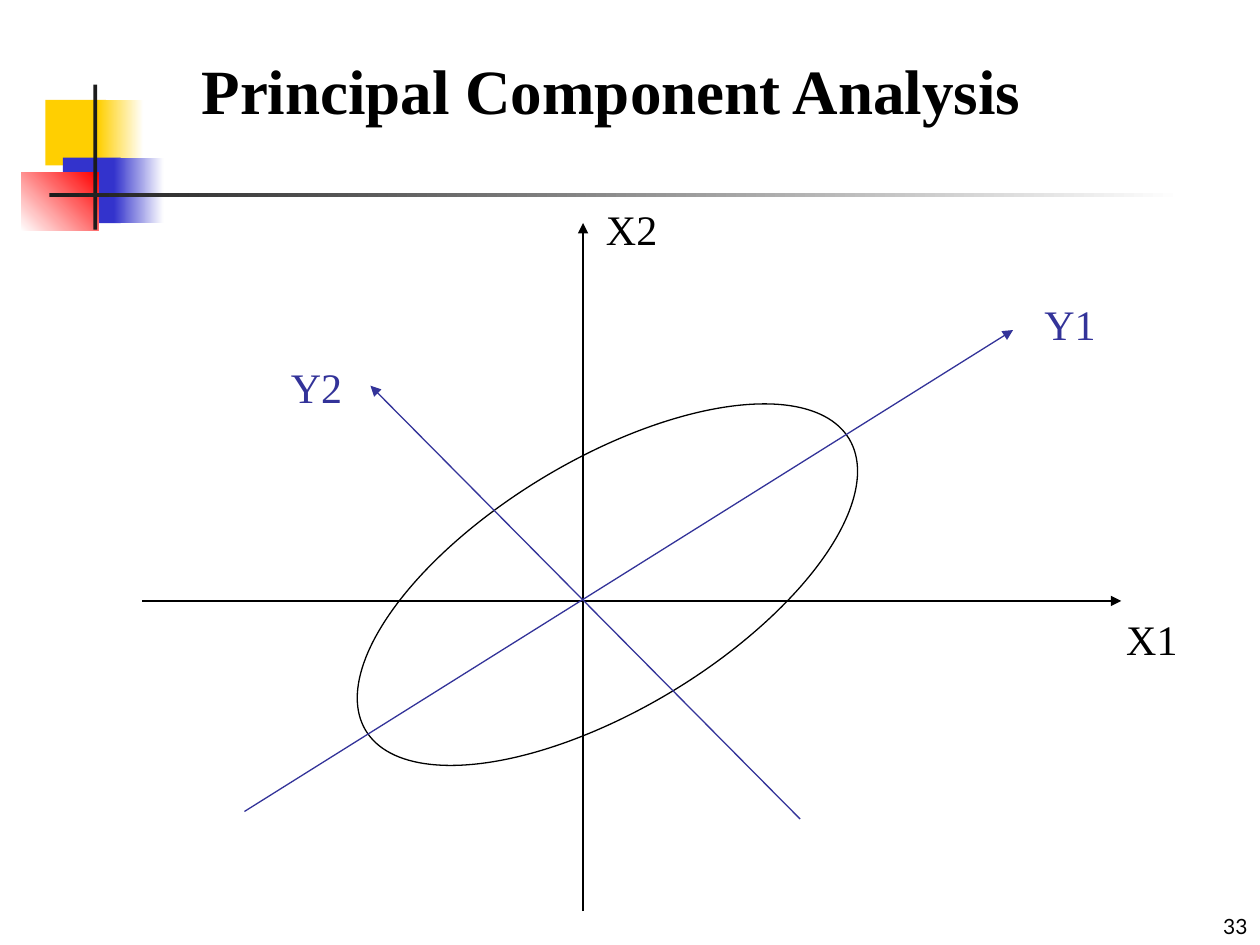
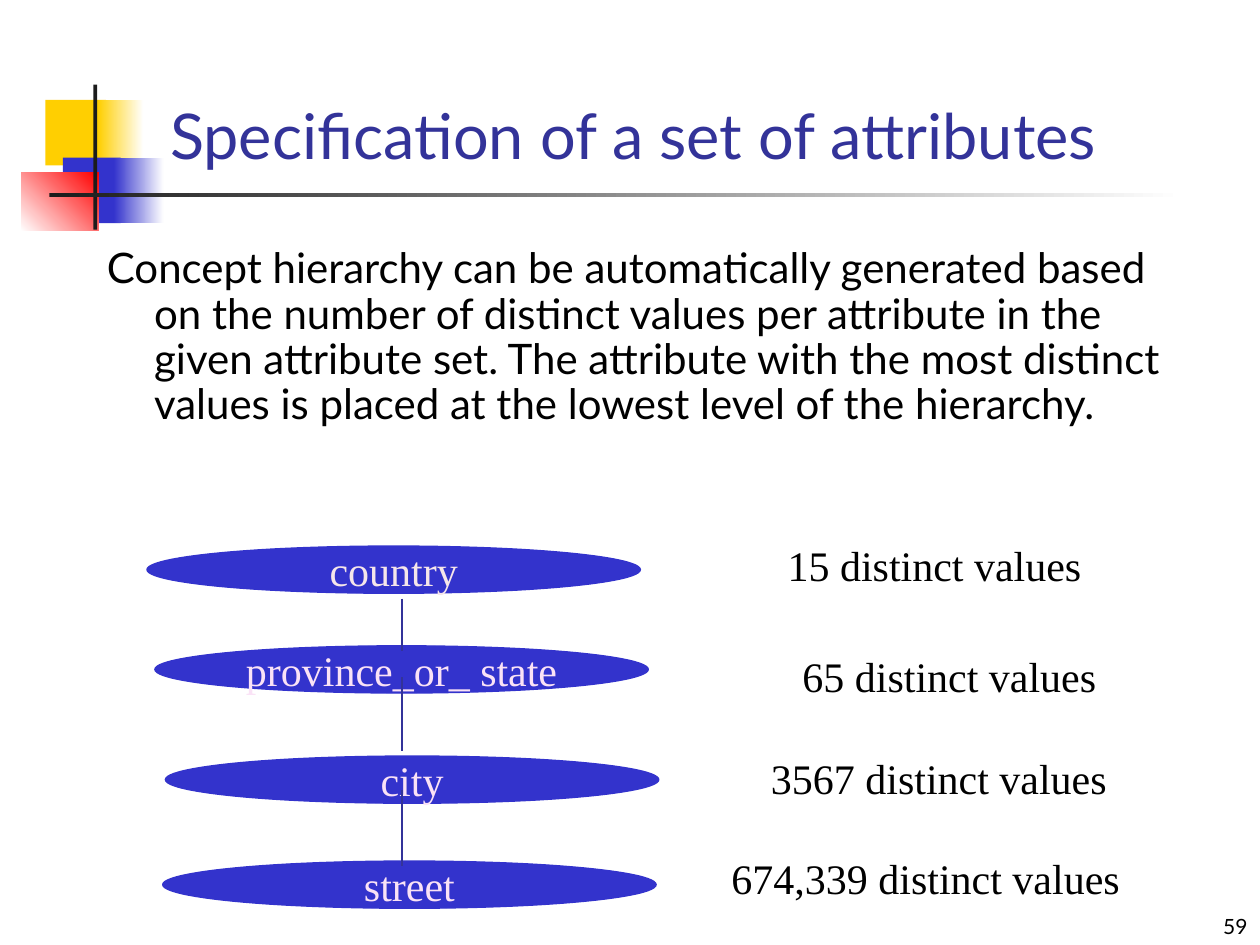
import pptx
import pptx.dml.color
import pptx.enum.dml
import pptx.enum.shapes
import pptx.enum.text
import pptx.oxml
import pptx.oxml.ns
import pptx.util
from lxml import etree

Pt = pptx.util.Pt
SHAPE = pptx.enum.shapes.MSO_SHAPE
ANCHOR = pptx.enum.text.MSO_ANCHOR
ALIGN = pptx.enum.text.PP_ALIGN
qn = pptx.oxml.ns.qn

SANS, SERIF = "Lato", "Times New Roman"
BLACK, WHITE, NAVY = "000000", "FFFFFF", "333399"
BLUE, YELLOW, RED, CHARCOAL = "3333CC", "FFCF01", "FF0000", "1C1C1C"

# Shared ornament: left, top, width, height, colours, gradient angle
ORNAMENT = [
    (26, 57, 34.5, 37.5, (YELLOW,), 0),
    (56, 57, 26, 37.5, (YELLOW, WHITE), 0),
    (36, 90, 33, 37.5, (BLUE,), 0),
    (65, 90, 28.5, 37.5, (BLUE, WHITE), 0),
    (12.2, 98.5, 44, 33.5, (WHITE, RED), 45),
    (53.3, 48.4, 2.3, 82.8, (CHARCOAL,), 0),
    (28.2, 110.2, 648, 2.4, (CHARCOAL, WHITE), 0),
]


def rgb(hex_colour):
    return pptx.dml.color.RGBColor.from_string(hex_colour)


def write(tf, text, font=SERIF, size=24, colour=BLACK, bold=False,
          align=ALIGN.LEFT, anchor=ANCHOR.TOP, wrap=True, spacing=None, hang=0):
    tf.auto_size = pptx.enum.text.MSO_AUTO_SIZE.NONE
    tf.word_wrap = wrap
    tf.vertical_anchor = anchor
    p = tf.paragraphs[0]
    p.alignment = align
    if spacing:
        p.line_spacing = spacing
    if hang:
        p_pr = p._p.get_or_add_pPr()
        p_pr.set("marL", str(Pt(hang)))
        p_pr.set("indent", str(-Pt(hang)))
    r = p.add_run()
    r.text = text
    r.font.name = font
    r.font.size = Pt(size)
    r.font.bold = bold
    r.font.color.rgb = rgb(colour)


class Deck:
    def __init__(self):
        self.prs = pptx.Presentation()
        self.prs.slide_width, self.prs.slide_height = Pt(720), Pt(540)
        self.s = None

    def slide(self, number):
        self.s = self.prs.slides.add_slide(self.prs.slide_layouts[5])
        for left, top, width, height, colours, angle in ORNAMENT:
            self.shape(SHAPE.RECTANGLE, left, top, width, height, colours, angle=angle)
        self.text(number, 570, 510, 150, 30, font=SANS, size=12,
                  align=ALIGN.RIGHT, anchor=ANCHOR.BOTTOM)

    def title(self, text, left, top, width, height, **fmt):
        sp = self.s.shapes.title
        sp.left, sp.top, sp.width, sp.height = map(Pt, (left, top, width, height))
        write(sp.text_frame, text, size=36, **fmt)

    def text(self, text, left, top, width, height, **fmt):
        sp = self.s.shapes.add_textbox(*map(Pt, (left, top, width, height)))
        write(sp.text_frame, text, **fmt)

    def shape(self, kind, left, top, width, height, colours=(), line=None, angle=0):
        sp = self.s.shapes.add_shape(kind, *map(Pt, (left, top, width, height)))
        sp.shadow.inherit = False
        if len(colours) == 2:
            sp.fill.gradient()
            sp.fill.gradient_angle = angle
            for stop, colour in zip(sp.fill.gradient_stops, colours):
                stop.color.rgb = rgb(colour)
        elif colours:
            sp.fill.solid()
            sp.fill.fore_color.rgb = rgb(colours[0])
        else:
            sp.fill.background()
        if line:
            sp.line.color.rgb = rgb(line)
            sp.line.width = Pt(0.75)
        else:
            sp.line.fill.background()
        return sp

    def line(self, x1, y1, x2, y2, colour=BLACK, arrow=False):
        sp = self.s.shapes.add_connector(
            pptx.enum.shapes.MSO_CONNECTOR.STRAIGHT, *map(Pt, (x1, y1, x2, y2)))
        sp.line.color.rgb = rgb(colour)
        sp.line.width = Pt(0.75)
        if arrow:
            etree.SubElement(sp.line._get_or_add_ln(), qn("a:tailEnd"), type="triangle")
        etree.SubElement(sp._element.spPr, qn("a:effectLst"))


def principal_components(deck):
    deck.slide("33")
    deck.title("Principal Component Analysis", 108, 26, 528, 50.5, bold=True)

    # Data cloud
    cloud = deck.shape(SHAPE.OVAL, 185.8, 262.8, 322.6, 142.6, line=BLACK)
    cloud.rotation = 328.9

    # Axes with their labels
    axes = [
        ("X1", BLACK, (81.4, 343.4, 640.8, 343.4), (636.5, 347)),
        ("X2", BLACK, (333.2, 520.6, 333.2, 127.4), (339.2, 113)),
        ("Y1", NAVY, (139.7, 463.7, 578.9, 188.6), (589.7, 167)),
        ("Y2", NAVY, (457.2, 468, 211.7, 220.4), (159.1, 203)),
    ]
    for name, colour, ends, (left, top) in axes:
        deck.line(*ends, colour=colour, arrow=True)
        deck.text(name, left, top, 44, 36, colour=colour, wrap=False)


def concept_hierarchy(deck):
    deck.slide("59")
    deck.title("Specification of a set of attributes", 90, 54, 613.5, 48,
               font=SANS, colour=NAVY, anchor=ANCHOR.BOTTOM)
    deck.text("Concept hierarchy can be automatically generated based on the number "
              "of distinct values per attribute in the given attribute set. The "
              "attribute with the most distinct values is placed at the lowest level "
              "of the hierarchy.", 54, 138, 618, 150, font=SANS, spacing=0.9, hang=27)

    # Levels: name, colour, left, top; count, left, top, width
    levels = [
        ("country", "F6E6EA", 84, 312, "15 distinct values", 443, 304.5, 182),
        ("province_or_ state", "FAE2F6", 88.5, 369, "65 distinct values", 451.5, 368, 182),
        ("city", "FAE2F6", 94.5, 432, "3567 distinct values", 433.5, 426.5, 206),
        ("street", "FAE2F6", 93, 492, "674,339 distinct values", 411, 483.5, 236),
    ]
    for name, colour, left, top, count, count_left, count_top, width in levels:
        sp = deck.shape(SHAPE.OVAL, left, top, 282, 27, (BLUE,), line=BLUE)
        write(sp.text_frame, name, colour=colour, align=ALIGN.CENTER,
              anchor=ANCHOR.MIDDLE, wrap=False)
        deck.text(count, count_left, count_top, width, 36, align=ALIGN.CENTER, wrap=False)

    # Links between levels
    for top, bottom in [(342, 372), (387, 429), (451.5, 495)]:
        deck.line(229.7, top, 229.7, bottom, colour=NAVY)


def main():
    deck = Deck()
    principal_components(deck)
    concept_hierarchy(deck)
    deck.prs.save("out.pptx")


if __name__ == "__main__":
    main()
